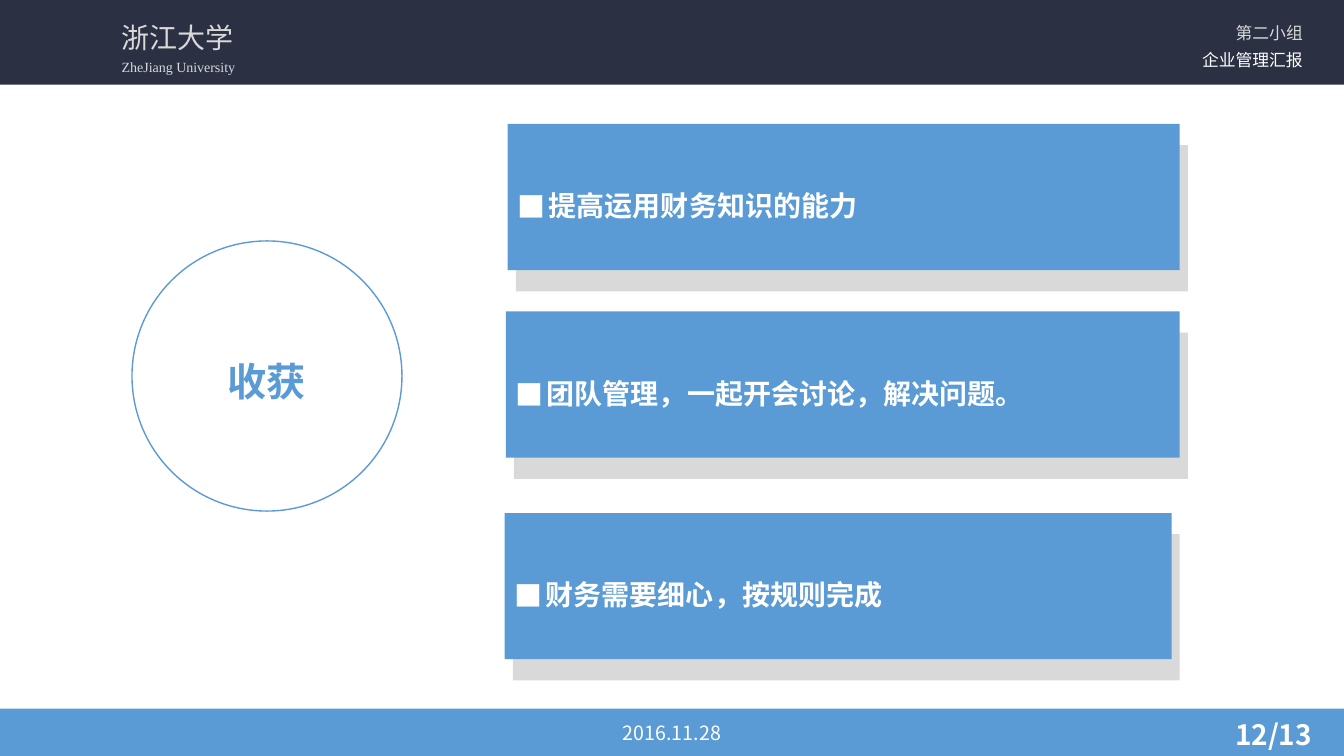
"""Build the harvest slide of a university group's management report."""
from lxml.etree import SubElement
from pptx import Presentation
from pptx.dml.color import RGBColor
from pptx.enum.shapes import MSO_SHAPE
from pptx.enum.text import MSO_ANCHOR, PP_ALIGN
from pptx.oxml.ns import qn
from pptx.util import Inches, Pt

SANS = "Noto Sans CJK SC"
NAVY, BLUE, GRAY, WHITE = "2B3043", "5B9BD5", "D9D9D9", "FFFFFF"

presentation = Presentation()
presentation.slide_width = Inches(13.34)
presentation.slide_height = Inches(7.5)
slide = presentation.slides.add_slide(presentation.slide_layouts[6])


def add_box(kind, left, top, width, height, fill=None):
    bounds = [Inches(value) for value in (left, top, width, height)]
    if kind is None:
        shape = slide.shapes.add_textbox(*bounds)
    else:
        shape = slide.shapes.add_shape(kind, *bounds)
        shape.shadow.inherit = False
        shape.fill.solid()
        shape.fill.fore_color.rgb = RGBColor.from_string(fill)
        shape.line.fill.background()
        shape.text_frame.vertical_anchor = MSO_ANCHOR.MIDDLE
    shape.text_frame.word_wrap = True
    return shape


def write(shape, text, size, color, align=PP_ALIGN.LEFT, spacing=1.0,
          bold=False, font=SANS, bullet=None):
    frame = shape.text_frame
    paragraph = frame.add_paragraph() if frame.text else frame.paragraphs[0]
    paragraph.text = text
    paragraph.alignment = align
    paragraph.line_spacing = spacing
    if bullet:
        properties = paragraph._p.get_or_add_pPr()
        properties.set("marL", str(Inches(0.31)))
        properties.set("indent", str(-Inches(0.31)))
        bullet_color = SubElement(properties, qn("a:buClr"))
        SubElement(bullet_color, qn("a:srgbClr"), val=color)
        SubElement(properties, qn("a:buFont"), typeface=SANS)
        SubElement(properties, qn("a:buChar"), char=bullet)
    paragraph.font.size = Pt(size)
    paragraph.font.bold = bold
    paragraph.font.color.rgb = RGBColor.from_string(color)
    paragraph.font.name = font
    SubElement(paragraph.font._element, qn("a:ea"), typeface=font)


add_box(MSO_SHAPE.RECTANGLE, 0, -0.03, 13.34, 0.87, NAVY)

report = add_box(None, 9.68, 0.12, 3.35, 0.62)
write(report, "第二小组", 12, GRAY, PP_ALIGN.RIGHT, 1.3)
write(report, "企业管理汇报", 12, WHITE, PP_ALIGN.RIGHT, 1.3)

footer = add_box(MSO_SHAPE.RECTANGLE, 0, 7.03, 13.34, 0.47, BLUE)
write(footer, "2016.11.28", 14, WHITE, PP_ALIGN.CENTER)

university = add_box(None, 1.11, 0.05, 1.93, 0.75)
write(university, "浙江大学", 20, GRAY, spacing=1.3)
write(university, "ZheJiang University", 10, GRAY, spacing=1.3, font="Times New Roman")

gains = [
    (5.04, 1.23, 6.67, "提高运用财务知识的能力"),
    (5.02, 3.09, 6.69, "团队管理，一起开会讨论，解决问题。"),
    (5.01, 5.09, 6.62, "财务需要细心，按规则完成"),
]
for left, top, width, text in gains:
    add_box(MSO_SHAPE.RECTANGLE, left + 0.08, top + 0.21, width, 1.45, GRAY)
    card = add_box(MSO_SHAPE.RECTANGLE, left, top, width, 1.45, BLUE)
    write(card, text, 20, WHITE, spacing=1.5, bold=True, bullet="■")

circle = add_box(MSO_SHAPE.OVAL, 1.31, 2.39, 2.68, 2.68, WHITE)
circle.line.color.rgb = RGBColor.from_string(BLUE)
circle.line.width = Pt(1)
write(circle, "收获", 28, BLUE, PP_ALIGN.CENTER, 1.2, bold=True)

page_number = add_box(None, 12.16, 7.07, 1.15, 0.44)
write(page_number, "12/13", 20, WHITE, bold=True)

presentation.save("out.pptx")
